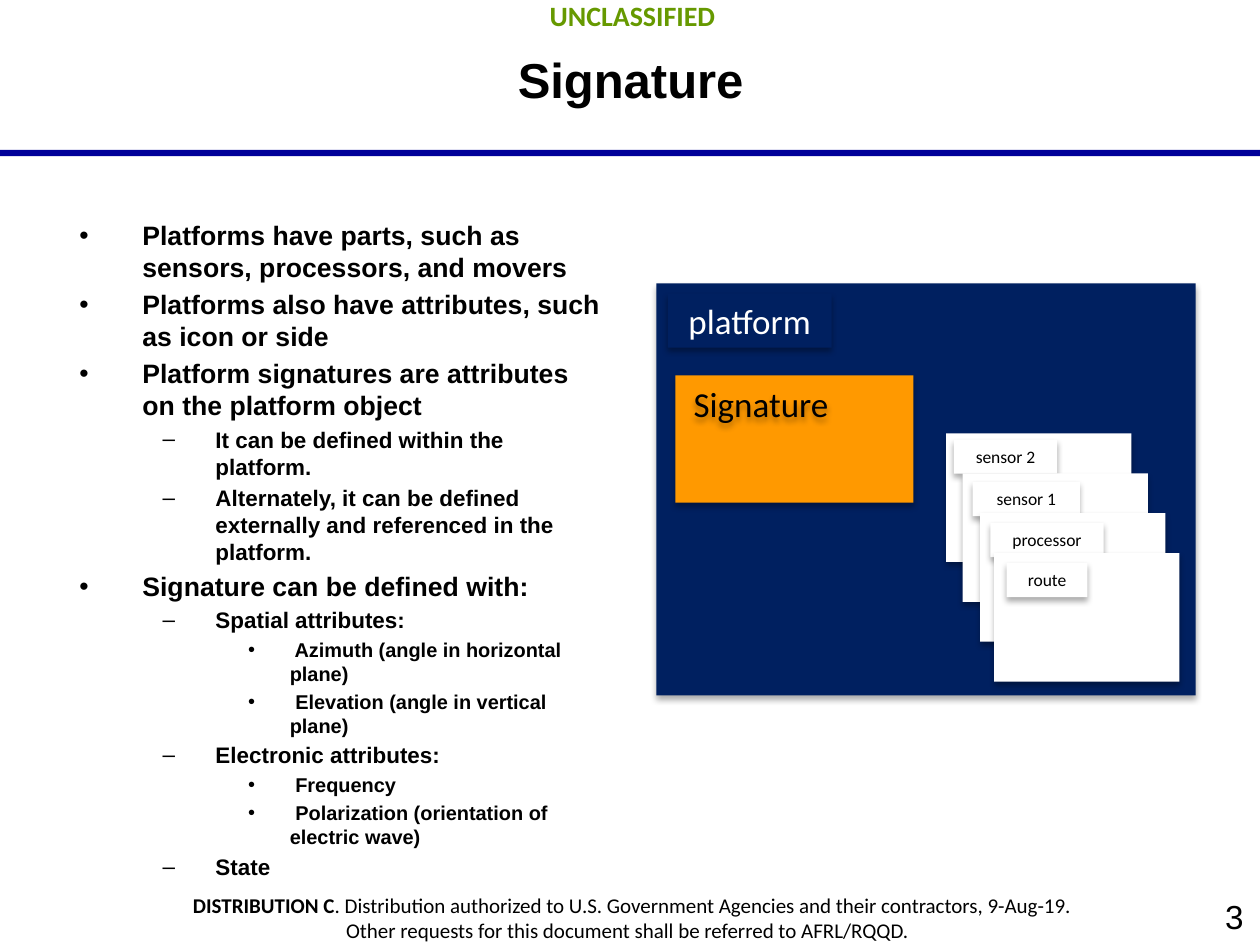
from dataclasses import dataclass

from lxml import etree
from pptx import Presentation
from pptx import util as u
from pptx.dml.color import RGBColor
from pptx.enum import shapes, text
from pptx.oxml import ns


@dataclass(frozen=True)
class Theme:
    black: str = "000000"
    white: str = "FFFFFF"
    rule: str = "000099"
    marking: str = "669900"
    navy: str = "002060"
    orange: str = "FF9900"
    heading: str = "Arial"
    label: str = "Calibri"
    title_size: float = 28
    level_sizes: tuple = (15.2, 12.8, 11.4)
    marking_size: float = 16
    notice_size: float = 12
    number_size: float = 19
    block_size: float = 20
    part_size: float = 10


@dataclass(frozen=True)
class Area:
    left: float
    top: float
    width: float
    height: float

    def lengths(self) -> tuple:
        return tuple(u.Inches(v) for v in (self.left, self.top, self.width, self.height))


@dataclass(frozen=True)
class Part:
    """A coloured block with a caption in its upper left corner."""
    name: str
    block: Area
    caption: Area
    fill: str
    ink: str
    size: float
    caption_filled: bool = True


@dataclass(frozen=True)
class Level:
    left: float
    hang: float
    bullet: str


THEME = Theme()
LEVELS = (Level(0.5, 0.5, "•"), Level(1.08, 0.42, "–"), Level(1.67, 0.33, "•"))
OUTLINE = (
    (0, "Platforms have parts, such as sensors, processors, and movers"),
    (0, "Platforms also have attributes, such as icon or side"),
    (0, "Platform signatures are attributes on the platform object"),
    (1, "It can be defined within the platform."),
    (1, "Alternately, it can be defined externally and referenced in the platform."),
    (0, "Signature can be defined with:"),
    (1, "Spatial attributes:"),
    (2, " Azimuth (angle in horizontal plane)"),
    (2, " Elevation (angle in vertical plane)"),
    (1, "Electronic attributes:"),
    (2, " Frequency"),
    (2, " Polarization (orientation of electric wave)"),
    (1, "State"),
)
MARGINS = (0.13, 0.07, 0.13, 0.07)
CAPTION_MARGINS = (0, 0.05, 0, 0.05)
MIDDLE, TOP = text.MSO_ANCHOR.MIDDLE, text.MSO_ANCHOR.TOP
CENTER, RIGHT = text.PP_ALIGN.CENTER, text.PP_ALIGN.RIGHT


def assign(target, values: dict) -> None:
    for name, value in values.items():
        setattr(target, name, value)


def place(shape, area: Area) -> None:
    assign(shape, dict(zip(("left", "top", "width", "height"), area.lengths())))


def set_frame(frame, margins: tuple, anchor, wrap: bool = True) -> None:
    sides = ("margin_left", "margin_top", "margin_right", "margin_bottom")
    assign(frame, dict(zip(sides, map(u.Inches, margins))))
    assign(frame, {"vertical_anchor": anchor, "word_wrap": wrap,
                   "auto_size": text.MSO_AUTO_SIZE.NONE})


def add_span(para, words: str, size: float, face: str, color: str = THEME.black,
             bold: bool = False) -> None:
    span = para.add_run()
    span.text = words
    assign(span.font, {"size": u.Pt(size), "name": face, "bold": bold})
    span.font.color.rgb = RGBColor.from_string(color)


def add_shadow(shape) -> None:
    properties = shape.element.spPr
    for old in properties.findall(ns.qn("a:effectLst")):
        properties.remove(old)
    effects = etree.SubElement(properties, ns.qn("a:effectLst"))
    shadow = etree.SubElement(effects, ns.qn("a:outerShdw"), blurRad=str(u.Pt(3.5)),
                              dist=str(u.Pt(2.2)), dir="5400000", rotWithShape="0")
    color = etree.SubElement(shadow, ns.qn("a:srgbClr"), val=THEME.black)
    etree.SubElement(color, ns.qn("a:alpha"), val="32000")


def add_rectangle(parent, area: Area, fill: str):
    shape = parent.add_shape(shapes.MSO_SHAPE.RECTANGLE, *area.lengths())
    shape.shadow.inherit = False
    shape.fill.solid()
    shape.fill.fore_color.rgb = RGBColor.from_string(fill)
    shape.line.fill.background()
    return shape


def add_box(page, area: Area, align, lines: tuple, anchor=TOP) -> None:
    """Each line is a tuple of argument tuples for add_span."""
    box = page.shapes.add_textbox(*area.lengths())
    set_frame(box.text_frame, MARGINS, anchor)
    for index, spans in enumerate(lines):
        para = box.text_frame.add_paragraph() if index else box.text_frame.paragraphs[0]
        para.alignment = align
        for span in spans:
            add_span(para, *span)


def add_part(page, part: Part) -> None:
    group = page.shapes.add_group_shape().shapes
    add_shadow(add_rectangle(group, part.block, part.fill))
    if part.caption_filled:
        caption = add_rectangle(group, part.caption, part.fill)
    else:
        caption = group.add_textbox(*part.caption.lengths())
    add_shadow(caption)
    set_frame(caption.text_frame, CAPTION_MARGINS, TOP, wrap=False)
    para = caption.text_frame.paragraphs[0]
    para.alignment = CENTER
    add_span(para, part.name, part.size, THEME.label, part.ink)


def fill_outline(body) -> None:
    for index, (depth, words) in enumerate(OUTLINE):
        para = body.text_frame.add_paragraph() if index else body.text_frame.paragraphs[0]
        level, size = LEVELS[depth], THEME.level_sizes[depth]
        assign(para, {"level": depth, "space_before": u.Pt(round(size * 0.2, 1)),
                      "line_spacing": 1.0})
        properties = para._p.get_or_add_pPr()
        properties.set("marL", str(u.Inches(level.left)))
        properties.set("indent", str(-u.Inches(level.hang)))
        etree.SubElement(properties, ns.qn("a:buChar"), char=level.bullet)
        add_span(para, words, size, THEME.heading, bold=True)


def main() -> None:
    deck = Presentation()
    assign(deck, {"slide_width": u.Inches(10), "slide_height": u.Inches(7.5)})
    page = deck.slides.add_slide(deck.slide_layouts[1])

    # Rule, page number, marking and distribution notice
    add_rectangle(page.shapes, Area(0, 1.19, 10, 0.05), THEME.rule)
    add_box(page, Area(8, 7.05, 2, 0.45), RIGHT,
            ((("3", THEME.number_size, THEME.heading),),), MIDDLE)
    add_box(page, Area(0.02, -0.08, 10, 0.4), CENTER,
            ((("UNCLASSIFIED", THEME.marking_size, THEME.label, THEME.marking, True),),))
    notice = (THEME.notice_size, THEME.label, THEME.black)
    add_box(page, Area(0.01, 7.01, 10.02, 0.54), CENTER, (
        (("DISTRIBUTION C", *notice, True),
         (". Distribution authorized to U.S. Government Agencies and their contractors,"
          " 9-Aug-19.", *notice)),
        (("Other requests for this document shall be referred to AFRL/RQQD.  ", *notice),),
    ))

    # Title and outline
    title, body = page.shapes.title, page.placeholders[1]
    place(title, Area(1.38, 0, 7.25, 1.25))
    set_frame(title.text_frame, MARGINS, MIDDLE)
    title.text_frame.paragraphs[0].alignment = CENTER
    add_span(title.text_frame.paragraphs[0], "Signature", THEME.title_size,
             THEME.heading, bold=True)
    place(body, Area(0.5, 1.67, 4.42, 4.95))
    set_frame(body.text_frame, MARGINS, TOP)
    fill_outline(body)

    # Platform, its stacked parts, and its signature
    add_part(page, Part("platform", Area(5.21, 2.25, 4.28, 3.27), Area(5.3, 2.33, 1.3, 0.43),
                        THEME.navy, THEME.white, THEME.block_size))
    stack = (("sensor 2", 7.51, 0.06, 0.05, 0.82), ("sensor 1", 7.64, 0.08, 0.07, 0.85),
             ("processor", 7.78, 0.08, 0.08, 0.9), ("route", 7.89, 0.1, 0.08, 0.64))
    for index, (name, left, inset, drop, width) in enumerate(stack):
        top = 3.44 + index * 0.95 / 3
        add_part(page, Part(name, Area(left, top, 1.47, 1.02),
                            Area(left + inset, top + drop, width, 0.27),
                            THEME.white, THEME.black, THEME.part_size))
    add_part(page, Part("Signature", Area(5.36, 2.98, 1.89, 1.01), Area(5.34, 2.99, 1.4, 0.36),
                        THEME.orange, THEME.black, THEME.block_size, caption_filled=False))

    deck.save("out.pptx")


if __name__ == "__main__":
    main()
